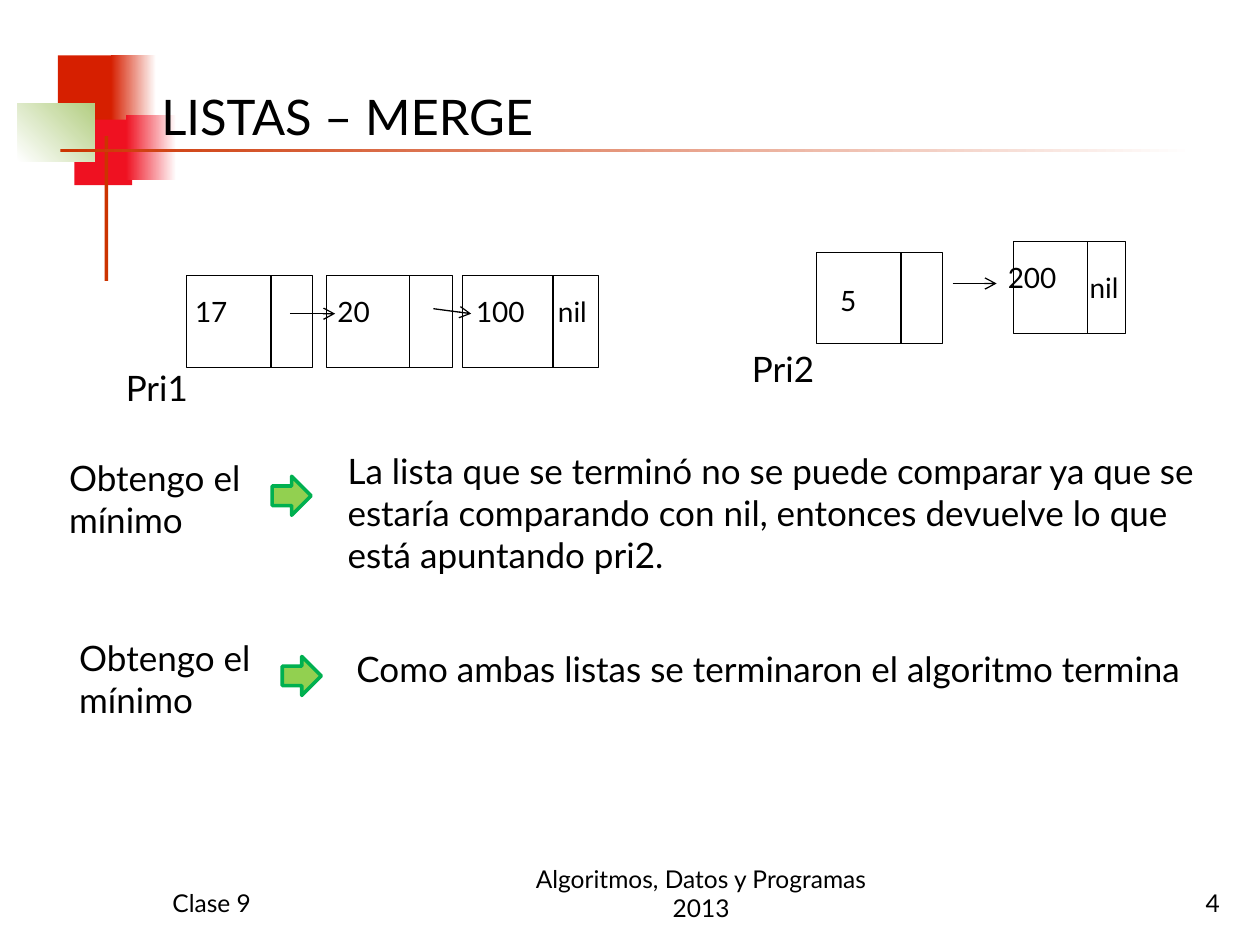
from dataclasses import dataclass
from typing import Optional

import pptx
import pptx.dml.color
import pptx.enum.shapes
import pptx.enum.text
import pptx.oxml
import pptx.oxml.ns
import pptx.util

Inches = pptx.util.Inches
Pt = pptx.util.Pt
RGBColor = pptx.dml.color.RGBColor
Shape = pptx.enum.shapes.MSO_SHAPE
Align = pptx.enum.text.PP_ALIGN
Anchor = pptx.enum.text.MSO_ANCHOR

FONT = "Lato"
BLACK = RGBColor(0x00, 0x00, 0x00)
WHITE = RGBColor(0xFF, 0xFF, 0xFF)
RED = RGBColor(0xD6, 0x1F, 0x00)
CRIMSON = RGBColor(0xEF, 0x11, 0x21)
PALE_GREEN = RGBColor(0xB3, 0xCE, 0x82)
RUST = RGBColor(0xCC, 0x33, 0x00)
ARROW_FILL = RGBColor(0x92, 0xD0, 0x50)
ARROW_LINE = RGBColor(0x00, 0xB0, 0x50)
NODE_HEIGHT = 0.73


@dataclass
class Block:
    left: float
    top: float
    width: float
    height: float
    color: RGBColor
    fade_to: Optional[RGBColor] = None
    angle: float = 0


@dataclass
class Label:
    text: str
    left: float
    top: float
    width: float
    height: float
    size: float = 20
    align: Align = Align.LEFT
    anchor: Anchor = Anchor.TOP


@dataclass
class Node:
    left: float
    top: float
    width: float
    divider: float


@dataclass
class Link:
    start: tuple[float, float]
    end: tuple[float, float]


BLOCKS = [
    Block(0.46, 0.44, 0.48, 0.52, RED),
    Block(0.88, 0.44, 0.36, 0.52, RED, WHITE),
    Block(0.59, 0.95, 0.46, 0.52, CRIMSON),
    Block(1.0, 0.91, 0.4, 0.52, CRIMSON, WHITE),
    Block(0.14, 0.82, 0.61, 0.46, WHITE, PALE_GREEN, 45),
    Block(0.83, 1.08, 0.03, 1.15, RUST),
    Block(0.48, 1.18, 9, 0.03, RUST, WHITE),
]
NODES = [
    Node(1.48, 2.19, 1, 2.15),
    Node(2.59, 2.19, 1, 3.25),
    Node(3.67, 2.19, 1.08, 4.39),
    Node(6.48, 2, 1, 7.15),
    Node(8.04, 1.92, 0.89, 8.63),
]
LINKS = [
    Link((2.3, 2.49), (2.66, 2.49)),
    Link((3.44, 2.45), (3.74, 2.49)),
    Link((7.56, 2.25), (7.91, 2.25)),
]
NODE_LABELS = [
    Label(text, left, top, width, 0.52, 16)
    for text, left, top, width in [
        ("17", 1.45, 2.29, 0.6),
        ("20", 2.58, 2.29, 0.6),
        ("100", 3.68, 2.29, 0.64),
        ("nil", 4.33, 2.29, 0.45),
        ("5", 6.57, 2.2, 0.5),
        ("200", 7.9, 2.02, 0.69),
        ("nil", 8.55, 2.1, 0.47),
    ]
]
TEXTS = [
    Label("Pri1", 0.9, 2.86, 0.7, 0.73),
    Label("Pri2", 5.87, 2.71, 0.7, 0.73),
    Label("Obtengo el mínimo", 0.45, 3.57, 2.34, 0.73),
    Label("La lista que se terminó no se puede comparar ya que se estaría "
          "comparando con nil, entonces devuelve lo que está apuntando pri2.",
          2.66, 3.52, 6.95, 1.41),
    Label("Obtengo el mínimo", 0.53, 5, 2.34, 0.73),
    Label("Como ambas listas se terminaron el algoritmo termina",
          2.73, 5.09, 6.95, 0.79),
    Label("Clase 9", 1.27, 6.83, 2.08, 0.5, 14, Align.LEFT, Anchor.BOTTOM),
    Label("4", 7.7, 6.83, 2.08, 0.5, 14, Align.RIGHT, Anchor.BOTTOM),
    Label("Algoritmos, Datos y Programas 2013",
          3.98, 6.87, 3.17, 0.5, 14, Align.CENTER, Anchor.BOTTOM),
]
STEP_ARROWS = [(2.16, 3.78), (2.24, 5.21)]


def add_preset(page, kind: Shape, left: float, top: float, width: float, height: float):
    shape = page.shapes.add_shape(
        kind, Inches(left), Inches(top), Inches(width), Inches(height))
    shape.shadow.inherit = False
    return shape


def add_block(page, block: Block) -> None:
    shape = add_preset(page, Shape.RECTANGLE, block.left, block.top,
                       block.width, block.height)
    shape.line.fill.background()
    if block.fade_to is None:
        shape.fill.solid()
        shape.fill.fore_color.rgb = block.color
        return
    shape.fill.gradient()
    shape.fill.gradient_angle = block.angle
    for stop, color in zip(shape.fill.gradient_stops, (block.color, block.fade_to)):
        stop.color.rgb = color


def add_line(page, link: Link, arrow: bool = False) -> None:
    line = page.shapes.add_connector(
        pptx.enum.shapes.MSO_CONNECTOR.STRAIGHT,
        *(Inches(value) for value in link.start + link.end))
    line.line.color.rgb = BLACK
    line.line.width = Pt(0.75)
    if arrow:
        tail = pptx.oxml.parse_xml(
            f'<a:tailEnd {pptx.oxml.ns.nsdecls("a")} type="arrow"/>')
        line.line._get_or_add_ln().append(tail)
    line.element.spPr.append(pptx.oxml.parse_xml(
        f'<a:effectLst {pptx.oxml.ns.nsdecls("a")}/>'))


def add_node(page, node: Node) -> None:
    """Draw a list cell: its value and its pointer, split by a divider."""
    box = add_preset(page, Shape.RECTANGLE, node.left, node.top, node.width, NODE_HEIGHT)
    box.fill.background()
    box.line.color.rgb = BLACK
    box.line.width = Pt(0.5)
    add_line(page, Link((node.divider, node.top),
                        (node.divider, node.top + NODE_HEIGHT)))


def write_label(box, label: Label) -> None:
    """Place a text box or placeholder and format its single paragraph."""
    box.left, box.top = Inches(label.left), Inches(label.top)
    box.width, box.height = Inches(label.width), Inches(label.height)
    frame = box.text_frame
    frame.word_wrap = True
    frame.auto_size = pptx.enum.text.MSO_AUTO_SIZE.NONE
    frame.vertical_anchor = label.anchor
    frame.text = label.text
    paragraph = frame.paragraphs[0]
    paragraph.alignment = label.align
    for span in paragraph.runs:
        span.font.name = FONT
        span.font.size = Pt(label.size)
        span.font.color.rgb = BLACK


def add_step_arrow(page, left: float, top: float) -> None:
    arrow = add_preset(page, Shape.RIGHT_ARROW, left, top, 0.31, 0.31)
    arrow.fill.solid()
    arrow.fill.fore_color.rgb = ARROW_FILL
    arrow.line.color.rgb = ARROW_LINE
    arrow.line.width = Pt(2)


def main() -> None:
    deck = pptx.Presentation()
    deck.slide_width, deck.slide_height = Inches(10), Inches(7.5)
    page = deck.slides.add_slide(deck.slide_layouts.get_by_name("Title Only"))
    for block in BLOCKS:
        add_block(page, block)
    title = page.shapes.title
    write_label(title, Label("LISTAS – MERGE", 1.18, -0.27, 9.33, 1.47, 28,
                             anchor=Anchor.BOTTOM))
    title.element.getparent().append(title.element)  # in front of the blocks
    for node in NODES:
        add_node(page, node)
    for link in LINKS:
        add_line(page, link, arrow=True)
    for label in NODE_LABELS + TEXTS:
        write_label(page.shapes.add_textbox(0, 0, 0, 0), label)
    for left, top in STEP_ARROWS:
        add_step_arrow(page, left, top)
    deck.save("out.pptx")


if __name__ == "__main__":
    main()
